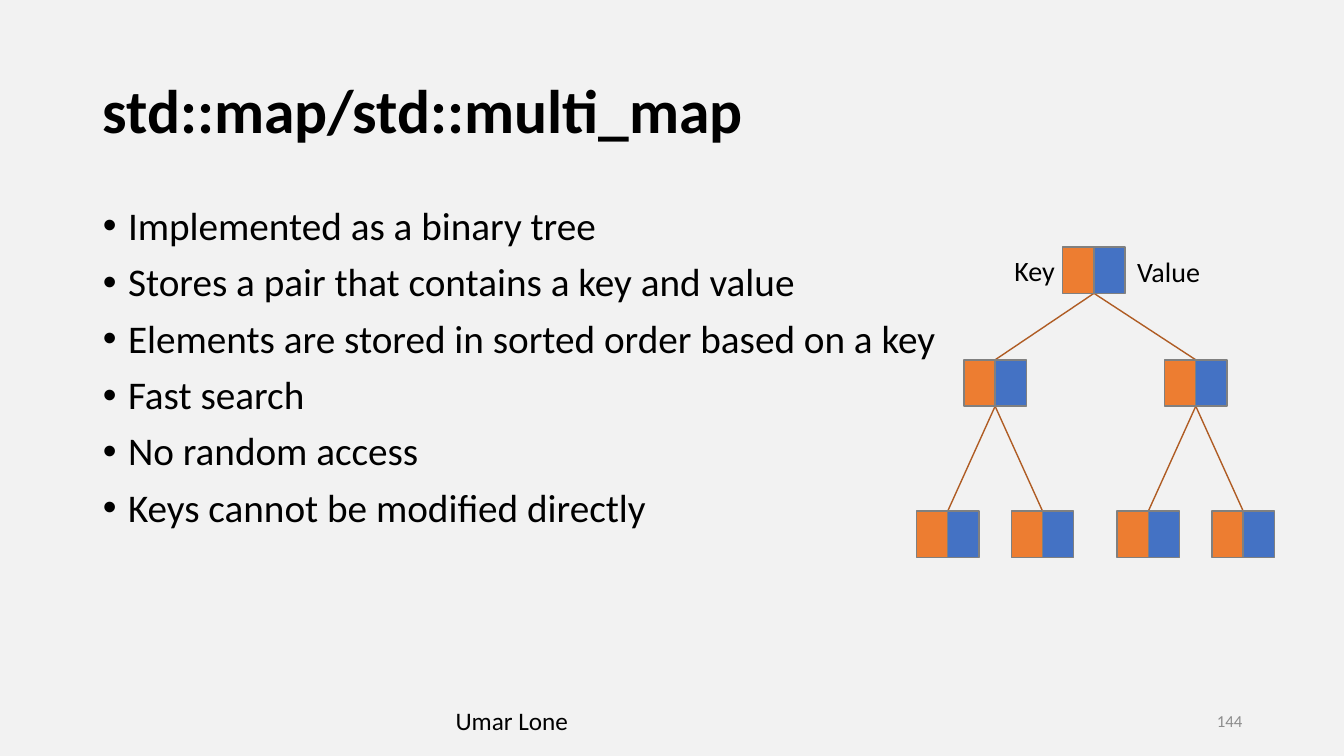
from dataclasses import dataclass

from lxml.etree import SubElement
from pptx import Presentation
from pptx.dml.color import RGBColor as Rgb
from pptx.enum.shapes import MSO_CONNECTOR as Link, MSO_SHAPE as Form
from pptx.enum.text import MSO_ANCHOR as Anchor, MSO_AUTO_SIZE as Fit, PP_ALIGN as Align
from pptx.oxml.ns import qn
from pptx.util import Inches, Pt

COLORS = {
    "back": "F2F2F2", "text": "000000", "number": "8C8C8C",
    "key": "ED7D31", "value": "4472C4", "edge": "808080", "branch": "AF5C24",
}
FONT = "Calibri"
CELL_W, CELL_H = 0.31, 0.46

POINTS = [
    "Implemented as a binary tree",
    "Stores a pair that contains a key and value",
    "Elements are stored in sorted order based on a key",
    "Fast search",
    "No random access",
    "Keys cannot be modified directly",
]


@dataclass(frozen=True)
class Node:
    mid: float
    top: float
    kids: tuple["Node", ...] = ()


@dataclass(frozen=True)
class Label:
    text: str
    left: float
    top: float
    width: float
    height: float
    size: int
    color: str = "text"
    align: Align = Align.LEFT
    anchor: Anchor = Anchor.TOP


ROW = 5.07
TREE = Node(10.85, 2.45, (
    Node(9.87, 3.57, (Node(9.4, ROW), Node(10.34, ROW))),
    Node(11.86, 3.57, (Node(11.39, ROW), Node(12.33, ROW))),
))

LABELS = [
    Label("Key", 9.67, 2.47, 0.89, 0.44, 20, align=Align.RIGHT),
    Label("Value", 11.18, 2.48, 0.89, 0.44, 20),
    Label("Umar Lone", 4.42, 6.95, 4.5, 0.4, 18),
    Label("144", 9.42, 6.95, 3, 0.4, 12, "number", Align.RIGHT, Anchor.MIDDLE),
]


def paint(name: str) -> Rgb:
    return Rgb.from_string(COLORS[name])


def style(para, size: int, color: str = "text", bold: bool = False) -> None:
    font = para.font
    font.name, font.size, font.bold = FONT, Pt(size), bold
    font.color.rgb = paint(color)


def place(shape, left: float, top: float, width: float, height: float) -> None:
    shape.left, shape.top = Inches(left), Inches(top)
    shape.width, shape.height = Inches(width), Inches(height)


def add_title(slide) -> None:
    title = slide.shapes.title
    place(title, 0.92, 0.4, 11.5, 1.45)
    frame = title.text_frame
    frame.text = "std::map/std::multi_map"
    frame.auto_size, frame.vertical_anchor = Fit.NONE, Anchor.MIDDLE
    para = frame.paragraphs[0]
    para.alignment, para.line_spacing = Align.LEFT, 0.9
    style(para, 44, bold=True)


def add_list(slide) -> None:
    body = slide.placeholders[1]
    place(body, 0.92, 2, 11.5, 4.76)
    frame = body.text_frame
    frame.text = "\n".join(POINTS)
    frame.auto_size, frame.vertical_anchor = Fit.NONE, Anchor.TOP
    for i, para in enumerate(frame.paragraphs):
        props = para._p.get_or_add_pPr()
        props.set("marL", str(Inches(0.25)))
        props.set("indent", str(Inches(-0.25)))
        SubElement(props, qn("a:buFont"), typeface="Arial")
        SubElement(props, qn("a:buChar"), char="•")
        para.line_spacing, para.space_before = 0.9, Pt(10 if i else 0)
        style(para, 28)


def add_links(slide, node: Node) -> None:
    """Join a node to its children, all the way down."""
    for kid in node.kids:
        line = slide.shapes.add_connector(
            Link.STRAIGHT, Inches(node.mid), Inches(node.top + CELL_H),
            Inches(kid.mid), Inches(kid.top))
        line.line.color.rgb, line.line.width = paint("branch"), Pt(1)
        SubElement(line._element.spPr, qn("a:effectLst"))
        add_links(slide, kid)


def add_pairs(slide, node: Node) -> None:
    """Draw the key and value cells of a node and of those below it."""
    group = slide.shapes.add_group_shape()
    for name, left in (("key", node.mid - CELL_W), ("value", node.mid)):
        cell = group.shapes.add_shape(
            Form.RECTANGLE, Inches(left), Inches(node.top),
            Inches(CELL_W), Inches(CELL_H))
        cell.shadow.inherit = False
        cell.fill.solid()
        cell.fill.fore_color.rgb = paint(name)
        cell.line.color.rgb, cell.line.width = paint("edge"), Pt(1)
    for kid in node.kids:
        add_pairs(slide, kid)


def add_label(slide, label: Label) -> None:
    box = slide.shapes.add_textbox(
        Inches(label.left), Inches(label.top),
        Inches(label.width), Inches(label.height))
    frame = box.text_frame
    frame.word_wrap, frame.vertical_anchor = True, label.anchor
    frame.text = label.text
    para = frame.paragraphs[0]
    para.alignment = label.align
    style(para, label.size, label.color)


def main() -> None:
    deck = Presentation()
    deck.slide_width, deck.slide_height = Inches(13.33), Inches(7.5)
    slide = deck.slides.add_slide(deck.slide_layouts[1])
    fill = slide.background.fill
    fill.solid()
    fill.fore_color.rgb = paint("back")
    add_title(slide)
    add_list(slide)
    add_links(slide, TREE)
    add_pairs(slide, TREE)
    for label in LABELS:
        add_label(slide, label)
    deck.save("out.pptx")


if __name__ == "__main__":
    main()
